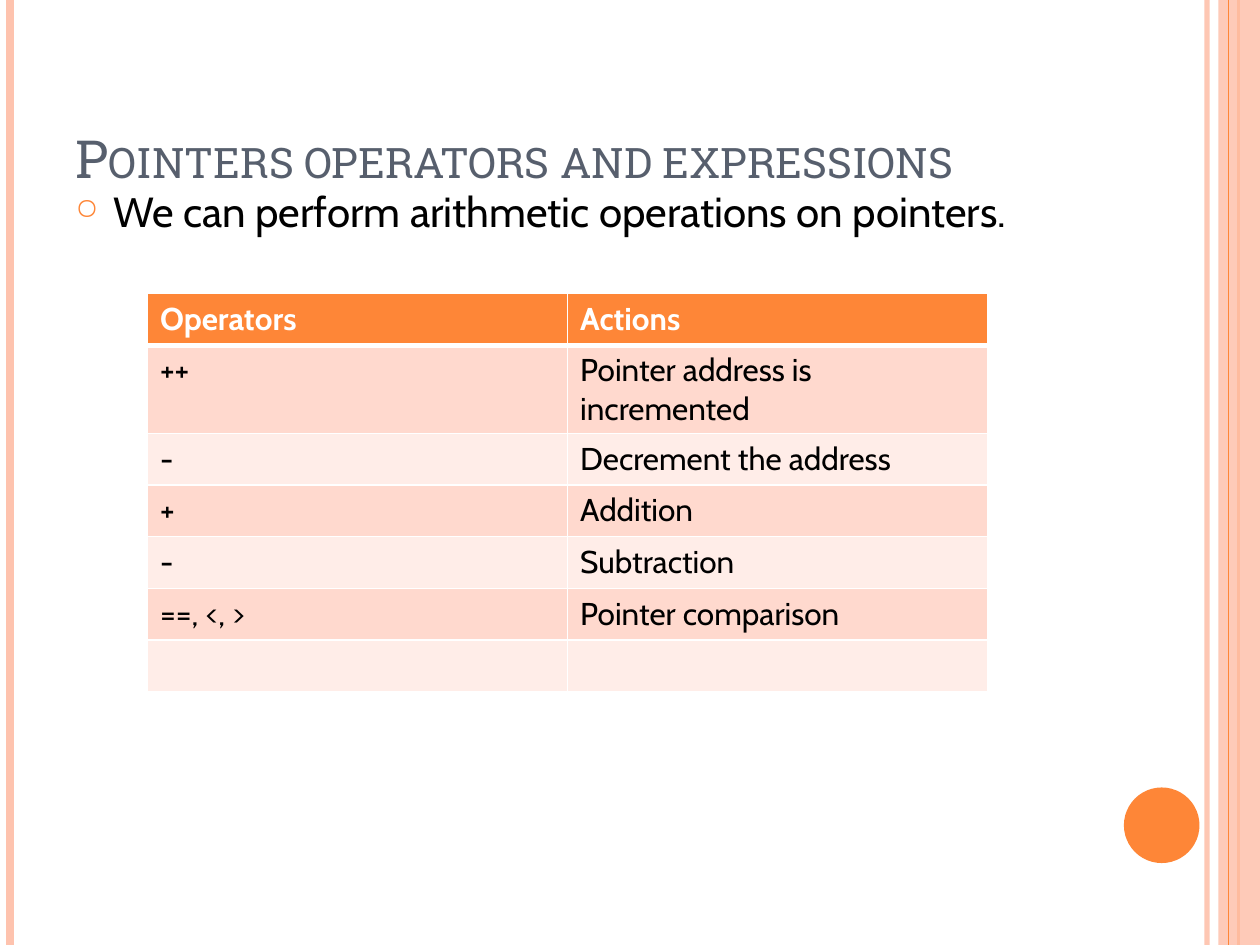
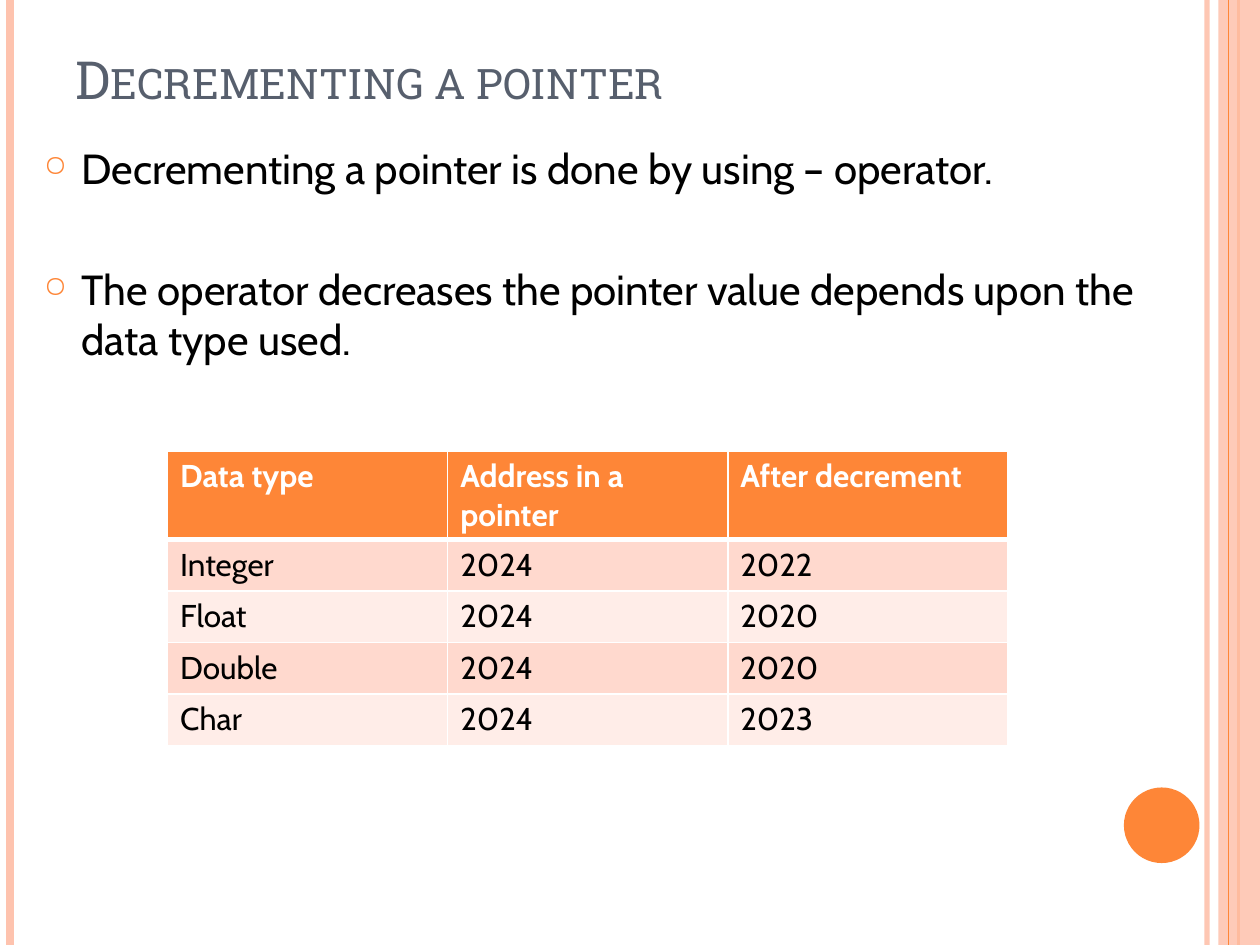
from dataclasses import dataclass

from lxml import etree
from pptx import Presentation
from pptx.dml.color import RGBColor
from pptx.enum.shapes import MSO_CONNECTOR, MSO_SHAPE
from pptx.enum.text import MSO_ANCHOR, MSO_AUTO_SIZE, PP_ALIGN
from pptx.oxml.ns import qn
from pptx.util import Inches, Pt

STRAIGHT = MSO_CONNECTOR.STRAIGHT
RECTANGLE = MSO_SHAPE.RECTANGLE
OVAL = MSO_SHAPE.OVAL
BOTTOM = MSO_ANCHOR.BOTTOM
NO_AUTOFIT = MSO_AUTO_SIZE.NONE
LEFT = PP_ALIGN.LEFT
TITLE_ONLY = 5


@dataclass(frozen=True)
class Theme:
    accent: str = "FE8637"
    band: str = "FEC3AE"
    heading: str = "575F6D"
    ink: str = "000000"
    white: str = "FFFFFF"
    row_dark: str = "FFD9CE"
    row_light: str = "FFEDE8"
    title_font: str = "Roboto Slab"
    body_font: str = "Cabin"
    title_size: float = 30
    body_size: float = 24
    table_size: float = 18


THEME = Theme()
WIDTH, HEIGHT = 10, 7.5
ROW_HEIGHT = 0.41
TABLE_WIDTH = 6.67
BULLET_INDENT = 0.3
STRIPES = [
    (9.58, 3, THEME.band, 93),
    (0.08, 4.5, THEME.band, 100),
    (9.83, 1.5, THEME.accent, 100),
]
INNER_STRIPE = (9.75, 0.75, THEME.accent, 100)


def add_node(parent, tag, **attributes):
    node = etree.SubElement(parent, qn(tag))
    for name, value in attributes.items():
        node.set(name, str(value))
    return node


def set_opacity(element, percent):
    if percent < 100:
        color = next(element.iter(qn("a:srgbClr")))
        add_node(color, "a:alpha", val=percent * 1000)


def style_runs(para, font, size, color, bold=False):
    for span in para.runs:
        span.font.name = font
        span.font.size = Pt(size)
        span.font.bold = bold
        span.font.color.rgb = RGBColor.from_string(color)


def add_stripe(page, left, weight, color, opacity):
    stripe = page.shapes.add_connector(
        STRAIGHT, Inches(left), 0, Inches(left), Inches(HEIGHT))
    stripe.line.width = Pt(weight)
    stripe.line.color.rgb = RGBColor.from_string(color)
    properties = stripe._element.spPr
    set_opacity(properties, opacity)
    add_node(properties, "a:effectLst")


def add_solid(page, kind, left, top, width, height, color, opacity=100):
    shape = page.shapes.add_shape(
        kind, Inches(left), Inches(top), Inches(width), Inches(height))
    shape.shadow.inherit = False
    shape.fill.solid()
    shape.fill.fore_color.rgb = RGBColor.from_string(color)
    shape.line.fill.background()
    set_opacity(shape._element.spPr, opacity)


def add_decoration(page):
    for stripe in STRIPES:
        add_stripe(page, *stripe)
    add_solid(page, RECTANGLE, 9.67, 0, 0.33, HEIGHT, THEME.band, 87)
    add_stripe(page, *INNER_STRIPE)
    add_solid(page, OVAL, 8.92, 6.25, 0.6, 0.6, THEME.accent)


def set_title(page, text, height):
    title = page.shapes.title
    title.left, title.top = Inches(0.5), Inches(0.3)
    title.width, title.height = Inches(8.17), Inches(height)
    frame = title.text_frame
    frame.text = text
    frame.word_wrap = True
    frame.auto_size = NO_AUTOFIT
    frame.vertical_anchor = BOTTOM
    para = frame.paragraphs[0]
    para.alignment = LEFT
    style_runs(para, THEME.title_font, THEME.title_size, THEME.heading)
    for span in para.runs:
        span._r.get_or_add_rPr().set("cap", "small")


def add_bullets(page, left, top, width, height, lines, gap=6):
    box = page.shapes.add_textbox(
        Inches(left), Inches(top), Inches(width), Inches(height))
    frame = box.text_frame
    frame.word_wrap = True
    frame.text = "\n".join(lines)
    for index, para in enumerate(frame.paragraphs):
        para.space_before = Pt(gap if index else 6)
        style_runs(para, THEME.body_font, THEME.body_size, THEME.ink)
        properties = para._p.get_or_add_pPr()
        properties.set("marL", str(Inches(BULLET_INDENT)))
        properties.set("indent", str(-Inches(BULLET_INDENT)))
        bullet_color = add_node(properties, "a:buClr")
        add_node(bullet_color, "a:srgbClr", val=THEME.accent)
        add_node(properties, "a:buSzPct", val=70000)
        add_node(properties, "a:buChar", char="○")


def set_borders(cell, top, bottom):
    properties = cell._tc.get_or_add_tcPr()
    weights = {"a:lnL": 1, "a:lnR": 1, "a:lnT": top, "a:lnB": bottom}
    for tag, weight in weights.items():
        line = add_node(properties, tag, w=Pt(weight))
        fill = add_node(line, "a:solidFill")
        add_node(fill, "a:srgbClr", val=THEME.white)


def style_cell(cell, row):
    header = row == 0
    set_borders(cell, top=3 if row == 1 else 1, bottom=3 if header else 1)
    banded = THEME.row_dark if row % 2 else THEME.row_light
    cell.fill.solid()
    cell.fill.fore_color.rgb = RGBColor.from_string(
        THEME.accent if header else banded)
    style_runs(cell.text_frame.paragraphs[0], THEME.body_font,
               THEME.table_size, THEME.white if header else THEME.ink, header)


def add_grid(page, left, top, rows):
    columns = len(rows[0])
    table = page.shapes.add_table(
        len(rows), columns, Inches(left), Inches(top),
        Inches(TABLE_WIDTH), Inches(ROW_HEIGHT * len(rows))).table
    for column in table.columns:
        column.width = Inches(TABLE_WIDTH / columns)
    for row, values in enumerate(rows):
        table.rows[row].height = Inches(ROW_HEIGHT)
        for column, value in enumerate(values):
            cell = table.cell(row, column)
            if value:
                cell.text = value
            style_cell(cell, row)


def add_page(deck, title, title_height):
    page = deck.slides.add_slide(deck.slide_layouts[TITLE_ONLY])
    add_decoration(page)
    set_title(page, title, title_height)
    return page


def add_operators_page(deck):
    page = add_page(deck, "Pointers operators and expressions", 1.25)
    add_bullets(page, 0.5, 1.42, 8.17, 5.66,
                ["We can perform arithmetic operations on pointers."])
    add_grid(page, 1.17, 2.33, [
        ("Operators", "Actions"),
        ("++", "Pointer address is incremented"),
        ("-", "Decrement the address"),
        ("+", "Addition"),
        ("-", "Subtraction"),
        ("==, <, >", "Pointer comparison"),
        ("", ""),
    ])


def add_decrement_page(deck):
    page = add_page(deck, "Decrementing a pointer", 0.62)
    add_bullets(page, 0.25, 1.08, 9.08, 6.25, [
        "Decrementing a pointer is done by using – operator.",
        "The operator decreases the pointer value depends upon the "
        "data type used.",
    ], gap=40.5)
    add_grid(page, 1.33, 3.58, [
        ("Data type", "Address in a pointer", "After decrement"),
        ("Integer", "2024", "2022"),
        ("Float", "2024", "2020"),
        ("Double", "2024", "2020"),
        ("Char", "2024", "2023"),
    ])


def main():
    deck = Presentation()
    deck.slide_width, deck.slide_height = Inches(WIDTH), Inches(HEIGHT)
    add_operators_page(deck)
    add_decrement_page(deck)
    deck.save("out.pptx")


main()
